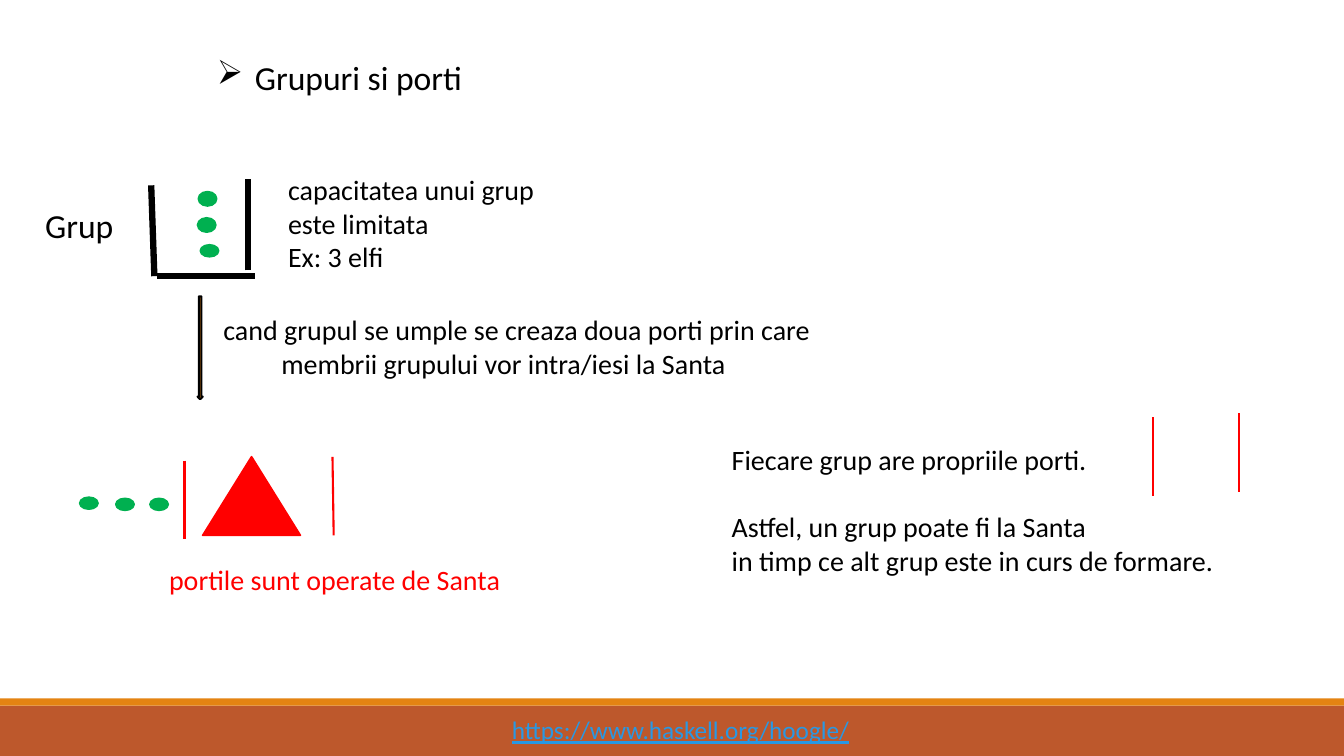
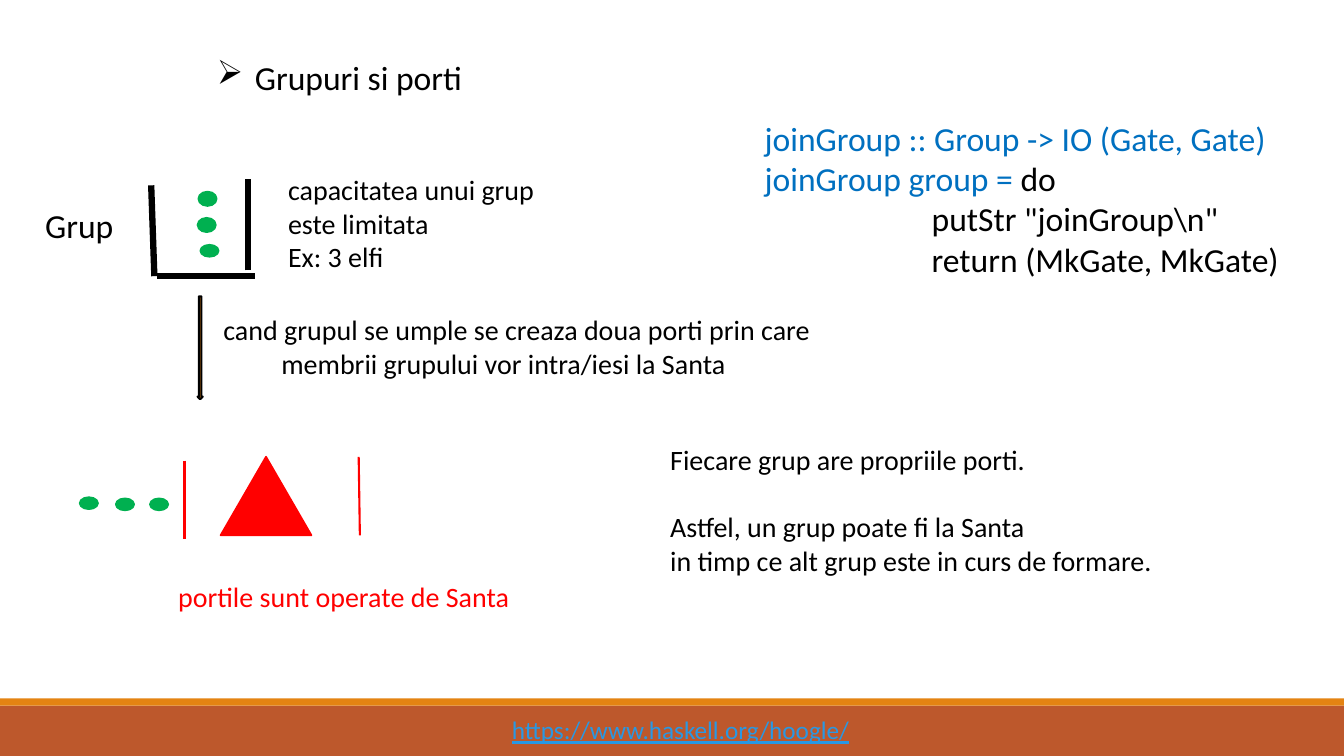
from pptx import Presentation
from pptx import util as u
from pptx.dml.color import RGBColor
from pptx.enum import shapes, text
from pptx.oxml.xmlchemy import OxmlElement

Cm, Pt = u.Cm, u.Pt
FONT = "Calibri"
COLORS = {
    "band": "BD582C", "strip": "E48312", "link": "2998E3", "ink": "000000",
    "elf": "00B050", "gate": "FF0000", "code": "0070C0",
}
PAGE_WIDTH, PAGE_HEIGHT = 33.87, 19.05
DOT_WIDTH = 0.46
GATE_HEIGHT = 1.98


def color(name):
    return RGBColor.from_string(COLORS[name])


# Basic parts: shapes, lines, text
def add_figure(page, kind, left, top, width, height, fill, line=None, weight=1.25):
    figure = page.shapes.add_shape(kind, Cm(left), Cm(top), Cm(width), Cm(height))
    figure.shadow.inherit = False
    figure.fill.solid()
    figure.fill.fore_color.rgb = color(fill)
    if line:
        figure.line.color.rgb = color(line)
        figure.line.width = Pt(weight)
    else:
        figure.line.fill.background()
    return figure


def add_line(page, start_x, start_y, end_x, end_y, line, weight):
    connector = page.shapes.add_connector(
        shapes.MSO_CONNECTOR.STRAIGHT, Cm(start_x), Cm(start_y), Cm(end_x), Cm(end_y))
    connector.line.color.rgb = color(line)
    connector.line.width = Pt(weight)
    connector.element.spPr.append(OxmlElement("a:effectLst"))


def add_span(para, words, size, ink):
    span = para.add_run()
    span.text = words
    span.font.name = FONT
    span.font.size = Pt(size)
    span.font.color.rgb = color(ink)
    return span


def add_text(page, left, top, width, height, lines, size=20):
    """Each line is a list of (words, colour) spans."""
    box = page.shapes.add_textbox(Cm(left), Cm(top), Cm(width), Cm(height))
    frame = box.text_frame
    frame.word_wrap = True
    for index, spans in enumerate(lines):
        para = frame.paragraphs[0] if index == 0 else frame.add_paragraph()
        for words, ink in spans:
            add_span(para, words, size, ink)
    return box


def plain(*lines):
    return [[(words, "ink")] for words in lines]


# Footer, shared through the layout
def add_footer(page, layout):
    band_top = 17.78
    rectangle = shapes.MSO_SHAPE.RECTANGLE
    band = add_figure(page, rectangle, 0, band_top, PAGE_WIDTH,
                      PAGE_HEIGHT - band_top, "band")
    strip = add_figure(page, rectangle, 0, band_top - 0.18, PAGE_WIDTH, 0.18, "strip")
    address = add_text(page, 12.65, band_top + 0.1, 9.4, 1.02,
                       [[("https://www.haskell.org/hoogle/", "link")]], size=18)
    address.text_frame.paragraphs[0].runs[0].font.underline = True
    for number, part in enumerate((band, strip, address), start=101):
        part.element.nvSpPr.cNvPr.set("id", str(number))
        layout.shapes.element.append(part.element)


# Title with an arrow bullet
def add_title(page, words):
    title = page.shapes.title
    title.left, title.top, title.width, title.height = Cm(5.21), Cm(1.3), Cm(7.5), Cm(1.27)
    frame = title.text_frame
    frame.word_wrap = True
    frame.auto_size = text.MSO_AUTO_SIZE.NONE
    frame.vertical_anchor = text.MSO_ANCHOR.TOP
    para = frame.paragraphs[0]
    para.alignment = text.PP_ALIGN.LEFT
    properties = para._p.get_or_add_pPr()
    properties.set("marL", str(Cm(0.96)))
    properties.set("indent", str(-Cm(0.96)))
    bullet = OxmlElement("a:buChar")
    bullet.set("char", "➢")
    properties.append(bullet)
    add_span(para, words, 24, "ink")


def add_elf(page, left, top, height):
    add_figure(page, shapes.MSO_SHAPE.OVAL, left, top, DOT_WIDTH, height, "elf", "elf")


# Group: an open container holding three elves
def add_group(page, left, top):
    for start_x, start_y, end_x, end_y in (
            (0, 0.15, 0.08, 2.44), (0.15, 2.44, 2.62, 2.44), (2.44, 2.29, 2.44, 0)):
        add_line(page, left + start_x, top + start_y, left + end_x, top + end_y, "ink", 4.5)
    for across, down, height in ((1.24, 1.65, 0.3), (1.17, 0.97, 0.36), (1.19, 0.31, 0.36)):
        add_elf(page, left + across, top + down, height)
    add_text(page, left - 2.92, top + 0.51, 2.6, 1.27, plain("Grup"), size=24)
    add_text(page, left + 3.2, top - 0.3, 6.78, 2.82,
             plain("capacitatea unui grup", "este limitata", "Ex: 3 elfi"))


# Step from the full group to the gates
def add_step(page, left, top):
    add_figure(page, shapes.MSO_SHAPE.DOWN_ARROW, left, top, 0.13, 2.59,
               "strip", "ink", 1.5)
    label = add_text(page, left + 0.4, top + 0.28, 15.77, 2,
                     plain("cand grupul se umple se creaza doua porti prin care",
                           "membrii grupului vor intra/iesi la Santa"))
    indented = label.text_frame.paragraphs[1]._p.get_or_add_pPr()
    indented.set("marL", str(Cm(1.46)))


def add_gate(page, left, top, lean=0):
    add_line(page, left, top, left + lean, top + GATE_HEIGHT, "gate", 1.5)


# Elves queueing before the gates, with Santa between them
def add_gates(page, left, top, santa_left, santa_width, exit_left, caption_at):
    add_gate(page, left + 2.64, top + 0.1)
    add_gate(page, left + exit_left, top, lean=0.03)
    for across, down in ((0, 1.02), (0.91, 1.05), (1.77, 1.05)):
        add_elf(page, left + across, top + down, 0.3)
    add_figure(page, shapes.MSO_SHAPE.ISOSCELES_TRIANGLE, left + santa_left, top,
               santa_width, GATE_HEIGHT, "gate", "gate")
    across, down = caption_at
    add_text(page, left + across, top + down, 9.4, 1.2,
             [[("portile sunt operate de Santa", "gate")]])


def add_remark(page, left, top):
    remark = add_text(page, left, top, 13.2, 3.68,
                      plain("Fiecare grup are propriile porti.",
                            "Astfel, un grup poate fi la Santa",
                            "in timp ce alt grup este in curs de formare."))
    remark.text_frame.paragraphs[1].space_before = Pt(24)


def add_code(page, left, top):
    add_text(page, left, top, 13.9, 4.37, [
        [("joinGroup :: Group -> IO (Gate, Gate)", "code")],
        [("joinGroup group = ", "code"), ("do", "ink")],
        [('                      putStr "joinGroup\\n"', "ink")],
        [("                      return (MkGate, MkGate)", "ink")],
    ], size=24)


# Slide type: the group and gates diagram
def add_diagram_page(deck, layout, gates, remark_left):
    page = deck.slides.add_slide(layout)
    add_title(page, "Grupuri si porti")
    add_group(page, 3.81, 4.52)
    add_step(page, 4.98, 7.47)
    add_gates(page, 2.01, 11.51, **gates)
    add_remark(page, remark_left, 11.02)
    return page


def main():
    deck = Presentation()
    deck.slide_width, deck.slide_height = Cm(PAGE_WIDTH), Cm(PAGE_HEIGHT)
    layout = deck.slide_layouts.get_by_name("Title Only")

    gates = {"santa_left": 3.1, "santa_width": 2.46, "exit_left": 6.37,
             "caption_at": (2, 2.54)}
    page = add_diagram_page(deck, layout, gates, remark_left=18.19)
    add_footer(page, layout)
    add_gate(page, 29.06, 10.52)
    add_gate(page, 31.22, 10.41)

    gates = {"santa_left": 3.55, "santa_width": 2.29, "exit_left": 7.03,
             "caption_at": (2.23, 2.97)}
    page = add_diagram_page(deck, layout, gates, remark_left=16.64)
    add_code(page, 19.02, 2.84)

    deck.save("out.pptx")


if __name__ == "__main__":
    main()
